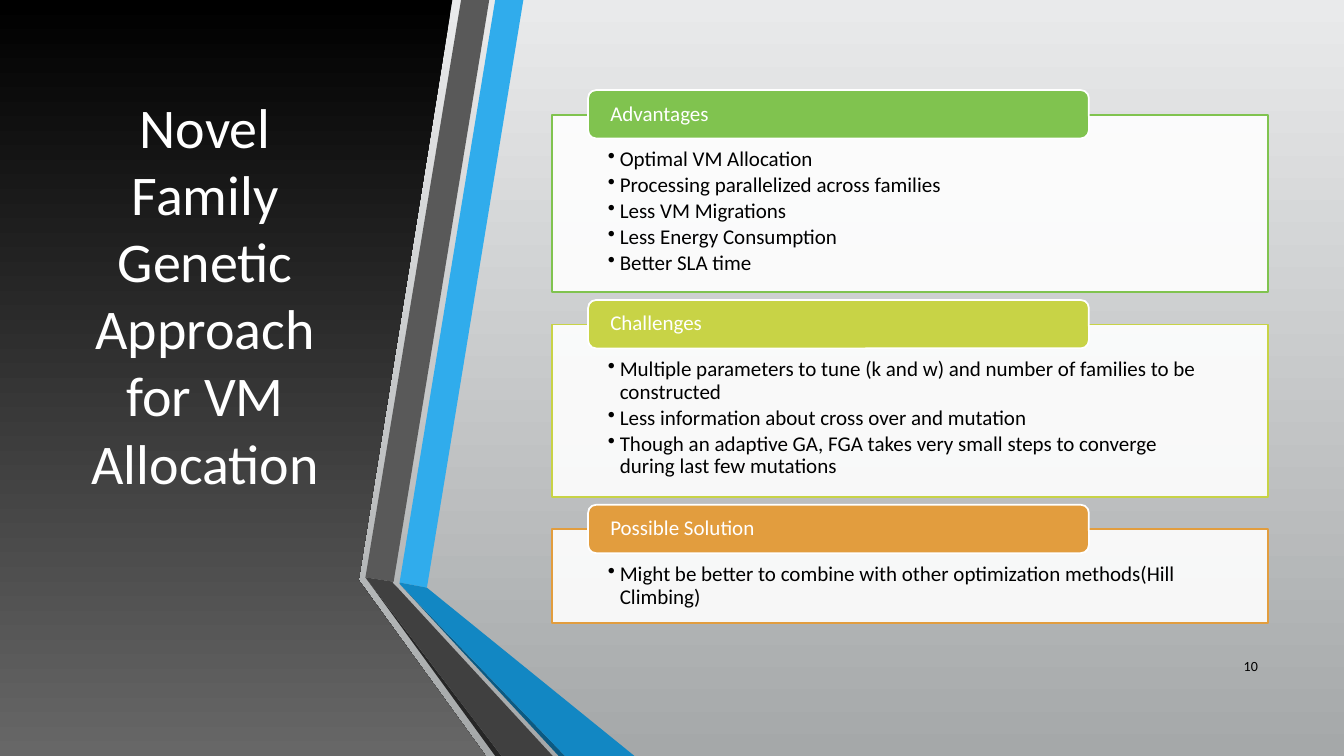
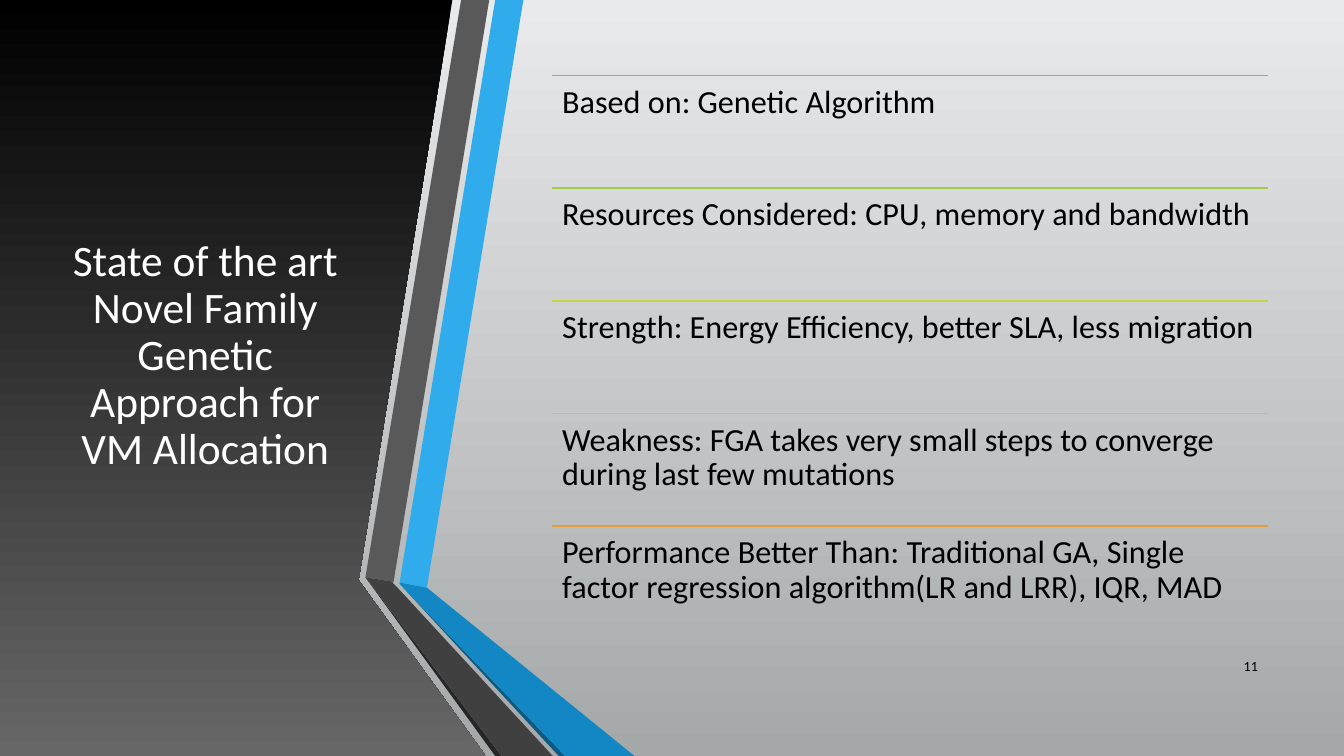
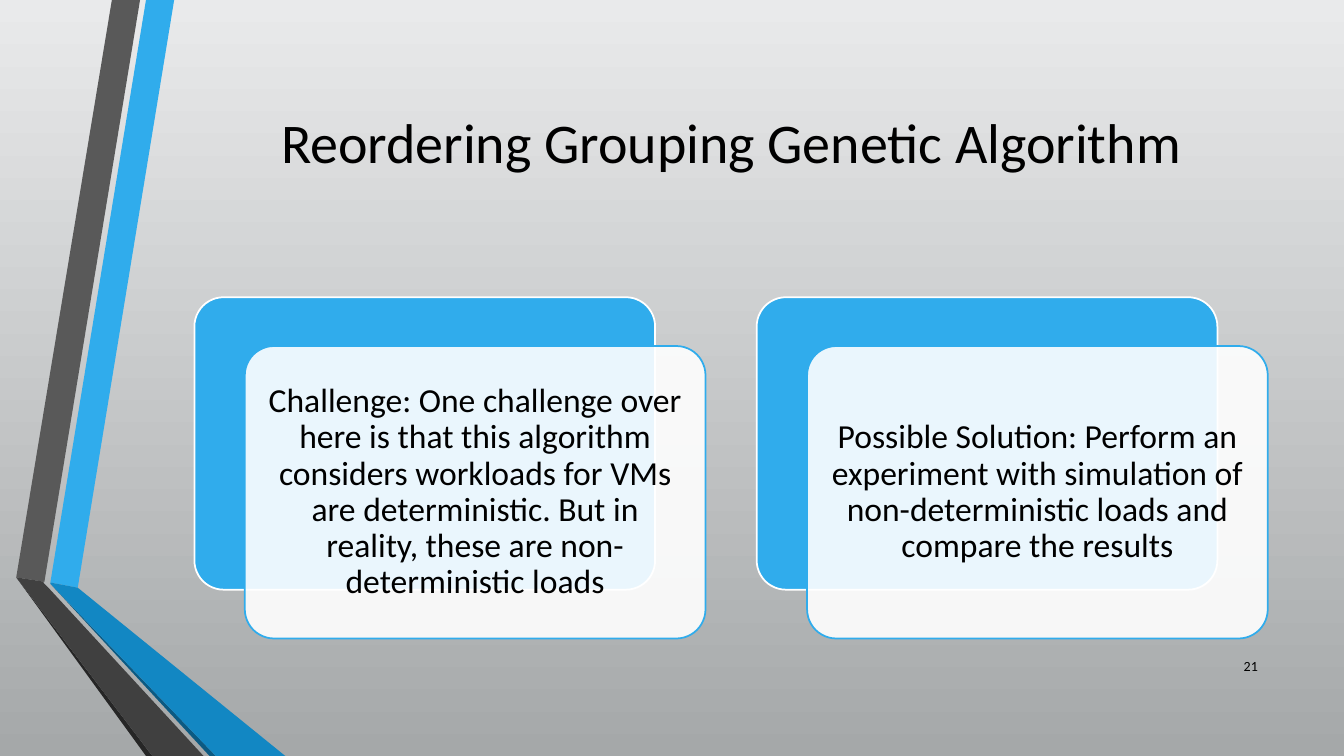
from lxml import etree
from pptx import Presentation
from pptx.dml.color import RGBColor
from pptx.enum.shapes import MSO_CONNECTOR, MSO_SHAPE
from pptx.enum.text import MSO_ANCHOR, MSO_AUTO_SIZE, PP_ALIGN
from pptx.oxml.ns import qn
from pptx.util import Cm, Pt

RECT, ROUNDED = MSO_SHAPE.RECTANGLE, MSO_SHAPE.ROUNDED_RECTANGLE
STRAIGHT = MSO_CONNECTOR.STRAIGHT
TOP, MIDDLE = MSO_ANCHOR.TOP, MSO_ANCHOR.MIDDLE
LEFT, CENTER, RIGHT = PP_ALIGN.LEFT, PP_ALIGN.CENTER, PP_ALIGN.RIGHT
NO_FIT = MSO_AUTO_SIZE.NONE

WHITE = RGBColor(0xFF, 0xFF, 0xFF)
BLACK = RGBColor(0x00, 0x00, 0x00)
BACK_TOP = RGBColor(0xE9, 0xEA, 0xEB)
BACK_BOTTOM = RGBColor(0xA5, 0xA8, 0xA9)
PANEL_BOTTOM = RGBColor(0x67, 0x67, 0x67)
BLUE = RGBColor(0x30, 0xAC, 0xEC)
BLUE_DARK = RGBColor(0x12, 0x87, 0xC3)
BLUE_SHADE = RGBColor(0x0C, 0x5A, 0x82)
GREY = RGBColor(0x59, 0x59, 0x59)
GREY_DARK = RGBColor(0x40, 0x40, 0x40)
GREY_SHADE = RGBColor(0x26, 0x26, 0x26)
GREEN = RGBColor(0x80, 0xC3, 0x4F)
LIME = RGBColor(0xA1, 0xCB, 0x4A)
YELLOW = RGBColor(0xC8, 0xD3, 0x46)
GOLD = RGBColor(0xDB, 0xC0, 0x42)
ORANGE = RGBColor(0xE2, 0x9D, 0x3E)

FONT = "Calibri"
LINE_WIDTH = Pt(1.25)
WIDTH, HEIGHT = 33.87, 19.05
RIBBON_SHIFT = 8.8
SIDE_TITLE = (1.5, 1.9, 7.34, 14.17)

RIBBONS = [
    (BLUE, [(1.27, 14.68), (1.96, 14.81), (4.39, 0), (3.68, 0)]),
    (GREY, [(3.53, 0), (2.82, 0), (0.41, 14.55), (1.12, 14.66)]),
    (GREY_SHADE, [(0.41, 14.55), (3.68, HEIGHT), (3.84, HEIGHT)]),
    (BLUE_SHADE, [(1.27, 14.71), (5.28, HEIGHT), (5.44, HEIGHT)]),
    (BLUE_DARK, [(1.27, 14.71), (5.44, HEIGHT), (7.19, HEIGHT),
                 (1.96, 14.81), (1.27, 14.68)]),
    (GREY_DARK, [(5.13, HEIGHT), (1.22, 14.81), (1.09, 14.68),
                 (1.12, 14.66), (0.41, 14.55), (3.84, HEIGHT)]),
]
PANEL = [(0, 0), (11.4, 0), (9.04, 14.62), (12.24, HEIGHT), (0, HEIGHT)]

CARDS = [
    ("Advantages", GREEN, 4.47, [
        "Optimal VM Allocation",
        "Processing parallelized across families",
        "Less VM Migrations",
        "Less Energy Consumption",
        "Better SLA time"]),
    ("Challenges", YELLOW, 4.34, [
        "Multiple parameters to tune (k and w) and number of families "
        "to be constructed",
        "Less information about cross over and mutation",
        "Though an adaptive GA, FGA takes very small steps to converge "
        "during last few mutations"]),
    ("Possible Solution", ORANGE, 2.36, [
        "Might be better to combine with other optimization "
        "methods(Hill Climbing)"]),
]
ROWS = [
    (GREEN, "Based on: Genetic Algorithm"),
    (LIME, "Resources Considered: CPU, memory and bandwidth"),
    (YELLOW, "Strength: Energy Efficiency, better SLA, less migration"),
    (GOLD, "Weakness: FGA takes very small steps to converge during last "
           "few mutations"),
    (ORANGE, "Performance Better Than: Traditional GA, Single factor "
             "regression algorithm(LR and LRR), IQR, MAD"),
]
NOTES = [
    "Challenge: One challenge over here is that this algorithm considers "
    "workloads for VMs are deterministic. But in reality, these are "
    "non-deterministic loads",
    "Possible Solution: Perform an experiment with simulation of "
    "non-deterministic loads and compare the results",
]


def write(sp, paragraphs, size, color=BLACK, align=LEFT, anchor=MIDDLE,
          insets=(0.25, 0.13, 0.25, 0.13), spacing=0.9, after=0, bullet=False):
    tf = sp.text_frame
    tf.word_wrap = True
    tf.auto_size = NO_FIT
    tf.vertical_anchor = anchor
    (tf.margin_left, tf.margin_top,
     tf.margin_right, tf.margin_bottom) = [Cm(v) for v in insets]
    for i, text in enumerate(paragraphs):
        p = tf.add_paragraph() if i else tf.paragraphs[0]
        p.alignment = align
        p.line_spacing = spacing
        p.space_after = Pt(after)
        r = p.add_run()
        r.text = text
        r.font.name = FONT
        r.font.size = Pt(size)
        r.font.color.rgb = color
        if bullet:
            pPr = p._p.get_or_add_pPr()
            pPr.set("marL", str(Cm(0.3)))
            pPr.set("indent", str(-Cm(0.3)))
            etree.SubElement(pPr, qn("a:buChar")).set("char", "•")


def shade(fill, top, bottom):
    fill.gradient()
    fill.gradient_angle = 270
    for stop, color in zip(fill.gradient_stops, (top, bottom)):
        stop.color.rgb = color


def add_box(s, kind, box, fill, line, alpha=None, corner=None):
    sp = s.shapes.add_shape(kind, *[Cm(v) for v in box])
    sp.shadow.inherit = False
    sp.fill.solid()
    sp.fill.fore_color.rgb = fill
    sp.line.color.rgb = line
    sp.line.width = LINE_WIDTH
    if alpha:
        clr = sp.element.spPr.find(qn("a:solidFill")).find(qn("a:srgbClr"))
        etree.SubElement(clr, qn("a:alpha")).set("val", str(alpha * 1000))
    if corner:
        sp.adjustments[0] = corner
    return sp


def add_outline(s, points, dx=0):
    pts = [(Cm(x + dx), Cm(y)) for x, y in points]
    builder = s.shapes.build_freeform(*pts[0], scale=1.0)
    builder.add_line_segments(pts[1:], close=True)
    sp = builder.convert_to_shape()
    sp.shadow.inherit = False
    sp.line.fill.background()
    return sp


def add_ribbons(s, dx):
    for color, points in RIBBONS:
        sp = add_outline(s, points, dx)
        sp.fill.solid()
        sp.fill.fore_color.rgb = color


def add_text(s, box, paragraphs, size, **fmt):
    sp = s.shapes.add_textbox(*[Cm(v) for v in box])
    write(sp, paragraphs, size, **fmt)


def add_base(prs, number, title, box, size, color, spacing, side_panel):
    s = prs.slides.add_slide(prs.slide_layouts[5])
    if side_panel:
        shade(add_outline(s, PANEL).fill, BLACK, PANEL_BOTTOM)
    add_ribbons(s, RIBBON_SHIFT if side_panel else 0)
    sp = s.shapes.title
    sp.left, sp.top, sp.width, sp.height = [Cm(v) for v in box]
    write(sp, title, size, color=color, align=CENTER, spacing=spacing)
    sp.element.getparent().append(sp.element)
    add_text(s, (30.43, 16.31, 1.52, 1.02), [number], 10, align=RIGHT)
    return s


def add_cards(s, x, y, w):
    tab_rise, tab_h, gap = 0.62, 1.22, 0.2
    for heading, color, h, items in CARDS:
        body = add_box(s, RECT, (x, y + tab_rise, w, h), WHITE, color, alpha=90)
        write(body, items, 15, anchor=TOP, insets=(1.4, 0.86, 1.4, 0.3),
              after=2.25, bullet=True)
        tab = add_box(s, ROUNDED, (x + 0.9, y, w * 0.7, tab_h), color, WHITE)
        write(tab, [heading], 15, color=WHITE, insets=(0.5, 0, 0.5, 0))
        y += tab_rise + h + gap


def add_rows(s, x, y, w, h):
    row_h = h / len(ROWS)
    for i, (color, text) in enumerate(ROWS):
        top = y + i * row_h
        rule = s.shapes.add_connector(STRAIGHT, Cm(x), Cm(top),
                                      Cm(x + w), Cm(top))
        rule.line.color.rgb = color
        rule.line.width = LINE_WIDTH
        etree.SubElement(rule.element.spPr, qn("a:effectLst"))
        add_text(s, (x, top, w, row_h), [text], 23, anchor=TOP,
                 insets=(0.25, 0.25, 0.25, 0.25))


def add_notes(s, x, y, w, h):
    dx, dy, card_w = 1.27, 1.23, 11.61
    pitch = w - card_w - dx
    for i, text in enumerate(NOTES):
        left = x + i * pitch
        add_box(s, ROUNDED, (left, y, card_w, h - dy), BLUE, WHITE, corner=0.1)
        front = add_box(s, ROUNDED, (left + dx, y + dy, card_w, h - dy),
                        WHITE, BLUE, alpha=90, corner=0.1)
        write(front, [text], 24, align=CENTER, insets=(0.25, 0.25, 0.25, 0.25))


def main():
    prs = Presentation()
    prs.slide_width, prs.slide_height = Cm(WIDTH), Cm(HEIGHT)
    shade(prs.slide_master.background.fill, BACK_TOP, BACK_BOTTOM)

    s = add_base(prs, "10", ["Novel Family Genetic Approach for VM Allocation"],
                 (1.5, 1.9, 7.34, 11), 40, WHITE, 1.0, True)
    add_cards(s, 13.92, 2.27, 18.03)

    s = add_base(prs, "11", ["State of the art",
                             "Novel Family Genetic Approach for VM Allocation"],
                 SIDE_TITLE, 31, WHITE, 0.9, True)
    add_rows(s, 13.92, 1.9, 18.03, 14.2)

    s = add_base(prs, "21", ["Reordering Grouping Genetic Algorithm"],
                 (4.9, 1.9, 27.05, 3.3), 40, BLACK, 1.0, False)
    add_notes(s, 4.9, 7.49, 27.05, 8.6)

    prs.save("out.pptx")


if __name__ == "__main__":
    main()
